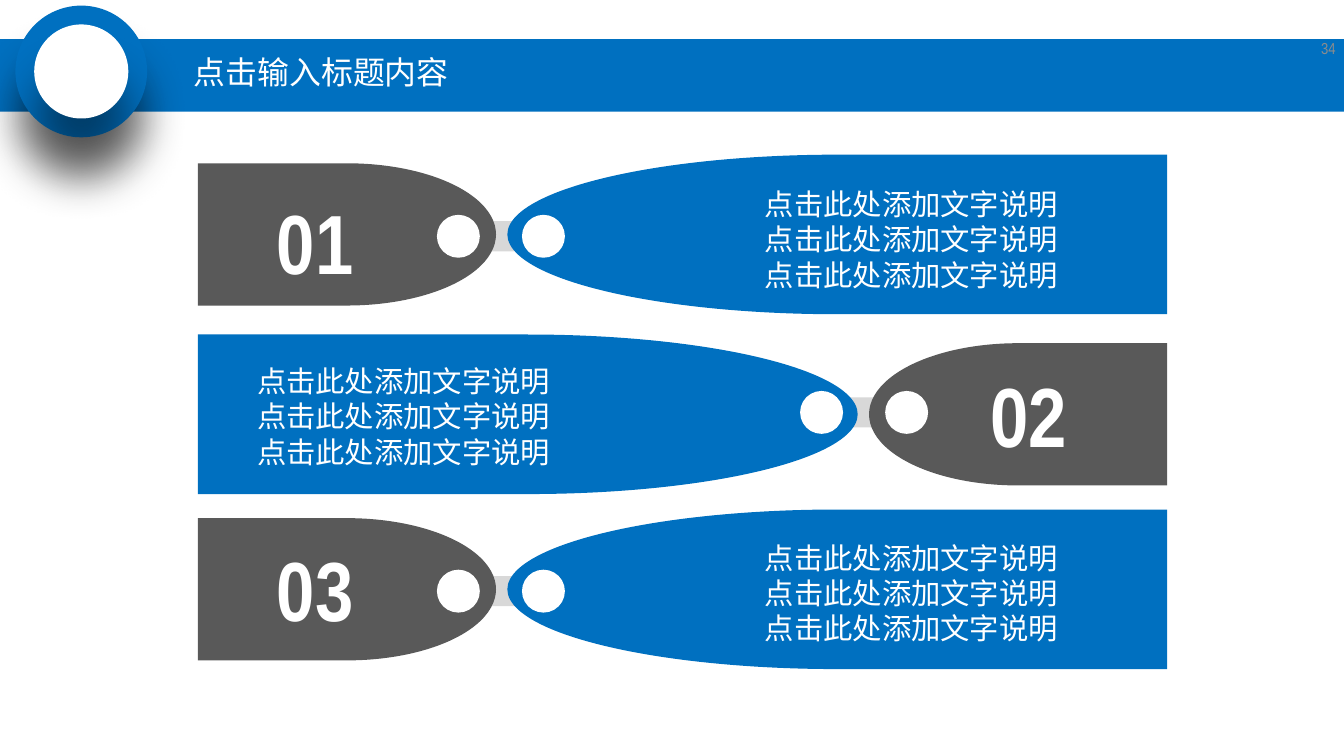
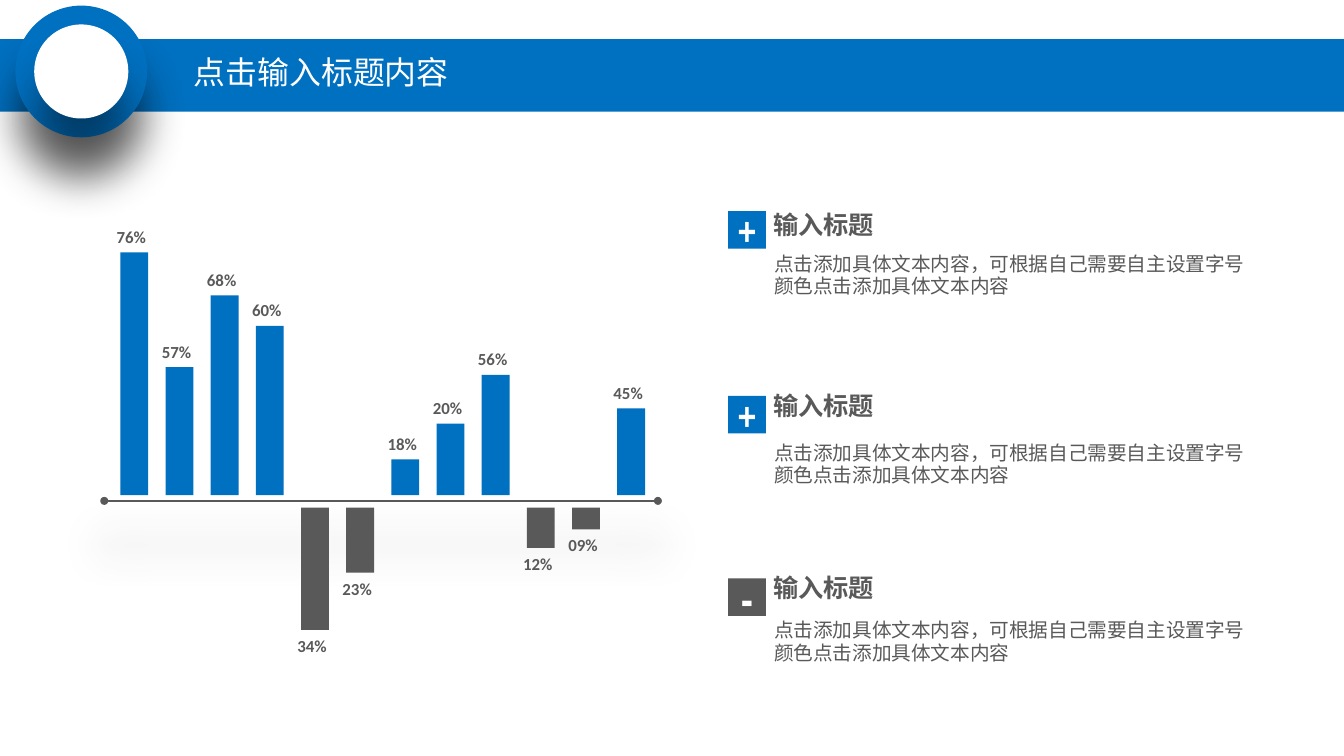
from lxml import etree
from pptx import Presentation
from pptx import util as u
from pptx.dml.color import RGBColor
from pptx.enum import shapes, text
from pptx.oxml.ns import qn

BLUE, GREY, LIGHT, WHITE, PALE = "0070C0", "595959", "D8D8D8", "FFFFFF", "8C8C8C"
TITLE_FONT, BODY_FONT = "Arial Narrow", "Calibri"
SLIDE_WIDTH, SLIDE_HEIGHT = 35.71, 20.09
KIND = shapes.MSO_SHAPE
ALIGN = text.PP_ALIGN
MIDDLE = text.MSO_ANCHOR.MIDDLE


def colour(value):
    return RGBColor.from_string(value)


def add_shadow(effects):
    shadow = etree.SubElement(effects, qn("a:outerShdw"), blurRad=str(u.Pt(33)),
                              dist=str(u.Pt(33)), dir="5400000", rotWithShape="0")
    black = etree.SubElement(shadow, qn("a:srgbClr"), val="000000")
    etree.SubElement(black, qn("a:alpha"), val="43000")


class Deck:
    def __init__(self):
        self.presentation = Presentation()
        self.presentation.slide_width = u.Cm(SLIDE_WIDTH)
        self.presentation.slide_height = u.Cm(SLIDE_HEIGHT)
        self.slide = None

    def new_slide(self, title):
        self.slide = self.presentation.slides.add_slide(self.presentation.slide_layouts[6])
        self.shape(KIND.RECTANGLE, 0, 1.04, SLIDE_WIDTH, 1.93, BLUE)
        self.shape(KIND.OVAL, 0.41, 0.15, 3.5, 3.5, BLUE, shadow=True)
        self.shape(KIND.OVAL, 0.91, 0.65, 2.5, 2.5, WHITE, shadow=True)
        self.text(4.9, 1.27, 8.81, 1.4, [title], 24, anchor=MIDDLE, spacing=0.9)

    def shape(self, kind, left, top, width, height, fill, turned=False, shadow=False):
        shape = self.slide.shapes.add_shape(
            kind, u.Cm(left), u.Cm(top), u.Cm(width), u.Cm(height))
        shape.fill.solid()
        shape.fill.fore_color.rgb = colour(fill)
        shape.line.fill.background()
        shape.shadow.inherit = False
        if turned:
            shape.rotation = 180
        if shadow:
            add_shadow(shape._element.spPr.find(qn("a:effectLst")))
        return shape

    def add_lines(self, frame, lines, size, font, ink, bold, align, spacing=None):
        for index, line in enumerate(lines):
            paragraph = frame.paragraphs[0] if index == 0 else frame.add_paragraph()
            paragraph.alignment = align
            paragraph.line_spacing = spacing
            run = paragraph.add_run()
            run.text = line
            run.font.size = u.Pt(size)
            run.font.name = font
            run.font.bold = bold
            run.font.color.rgb = colour(ink)

    def text(self, left, top, width, height, lines, size, font=TITLE_FONT, ink=WHITE,
             bold=False, align=ALIGN.LEFT, anchor=text.MSO_ANCHOR.TOP, wrap=True, spacing=None):
        box = self.slide.shapes.add_textbox(u.Cm(left), u.Cm(top), u.Cm(width), u.Cm(height))
        frame = box.text_frame
        frame.word_wrap = wrap
        frame.vertical_anchor = anchor
        if anchor != MIDDLE:
            frame.auto_size = text.MSO_AUTO_SIZE.SHAPE_TO_FIT_TEXT
        self.add_lines(frame, lines, size, font, ink, bold, align, spacing)

    def sign(self, left, top, side, symbol, size, fill):
        frame = self.shape(KIND.RECTANGLE, left, top, side, side, fill).text_frame
        frame.margin_left = frame.margin_right = frame.margin_top = frame.margin_bottom = 0
        frame.vertical_anchor = MIDDLE
        self.add_lines(frame, [symbol], size, TITLE_FONT, WHITE, True, ALIGN.CENTER)

    def axis(self, left, right, y):
        connector = self.slide.shapes.add_connector(
            shapes.MSO_CONNECTOR.STRAIGHT, u.Cm(left), u.Cm(y), u.Cm(right), u.Cm(y))
        connector.line.color.rgb = colour(GREY)
        connector.line.width = u.Pt(2)
        properties = connector._element.spPr
        for end in ("a:headEnd", "a:tailEnd"):
            etree.SubElement(properties.find(qn("a:ln")), qn(end), type="oval")
        add_shadow(etree.SubElement(properties, qn("a:effectLst")))

    def linked_row(self, number, center, mirrored, number_at, caption_at):
        left, right = 5.26, 31.01

        def place(x, width):
            return left + right - x - width if mirrored else x

        pin_center = center + (-0.05 if mirrored else 0.05)
        self.shape(KIND.FLOWCHART_TERMINATOR, place(11.68, 3.33), pin_center - 0.4,
                   3.33, 0.8, LIGHT)
        for x, width, height, fill, turned in (
                (left, 7.92, 3.78, GREY, mirrored),
                (13.48, 17.53, 4.24, BLUE, not mirrored)):
            self.shape(KIND.FLOWCHART_DELAY, place(x, width), center - height / 2,
                       width, height, fill, turned)
        for x in (11.61, 13.87):
            self.shape(KIND.FLOWCHART_CONNECTOR, place(x, 1.14), pin_center - 0.57,
                       1.14, 1.14, WHITE)
        self.text(*number_at, 4.06, 2.97, [number], 63.2, bold=True)
        self.text(*caption_at, 10.2, 3.1, ["点击此处添加文字说明"] * 3, 22.1)

    def bar(self, left, height, label):
        rising = height > 0
        top = 13.16 - height if rising else 13.49
        self.shape(KIND.RECTANGLE, left, top, 0.74, abs(height), BLUE if rising else GREY)
        label_top = top - 0.81 if rising else top - height + 0.02
        self.text(left - 0.35, label_top, 1.3, 0.79, [label], 12.7, BODY_FONT, GREY,
                  bold=True, wrap=False)

    def legend_item(self, sign_top, heading_top, body_top, symbol, size, fill):
        self.sign(19.35, sign_top, 1, symbol, size, fill)
        self.text(20.29, heading_top, 3.23, 1.07, ["输入标题"], 19, BODY_FONT, GREY,
                  bold=True, wrap=False)
        self.text(20.32, body_top, 13.23, 1.47,
                  ["点击添加具体文本内容，可根据自己需要自主设置字号颜色点击添加具体文本内容"],
                  14.8, BODY_FONT, GREY, spacing=u.Pt(16.9))


def main():
    deck = Deck()
    title = "点击输入标题内容"

    deck.new_slide(title)
    deck.linked_row("01", 6.23, False, (7.11, 4.93), (20.07, 4.83))
    deck.linked_row("02", 11.01, True, (26.06, 9.53), (6.58, 9.53))
    deck.linked_row("03", 15.66, False, (7.11, 14.17), (20.07, 14.22))
    deck.text(33.99, 0.74, 1.75, 1.07, ["34"], 12, ink=PALE, align=ALIGN.RIGHT, anchor=MIDDLE)

    deck.new_slide(title)
    deck.axis(2.77, 17.48, 13.31)
    bars = (("76%", 6.45), ("57%", 3.4), ("68%", 5.31), ("60%", 4.5),
            ("34%", -3.25), ("23%", -1.73), ("18%", 0.95), ("20%", 1.9),
            ("56%", 3.2), ("12%", -1.07), ("09%", -0.58), ("45%", 2.31))
    for index, (label, height) in enumerate(bars):
        deck.bar(3.2 + 1.2 * index, height, label)
    deck.legend_item(5.61, 5.44, 6.6, "+", 29.6, BLUE)
    deck.legend_item(10.52, 10.26, 11.61, "+", 29.6, BLUE)
    deck.legend_item(15.37, 15.09, 16.33, "-", 33.8, GREY)

    deck.presentation.save("out.pptx")


if __name__ == "__main__":
    main()
